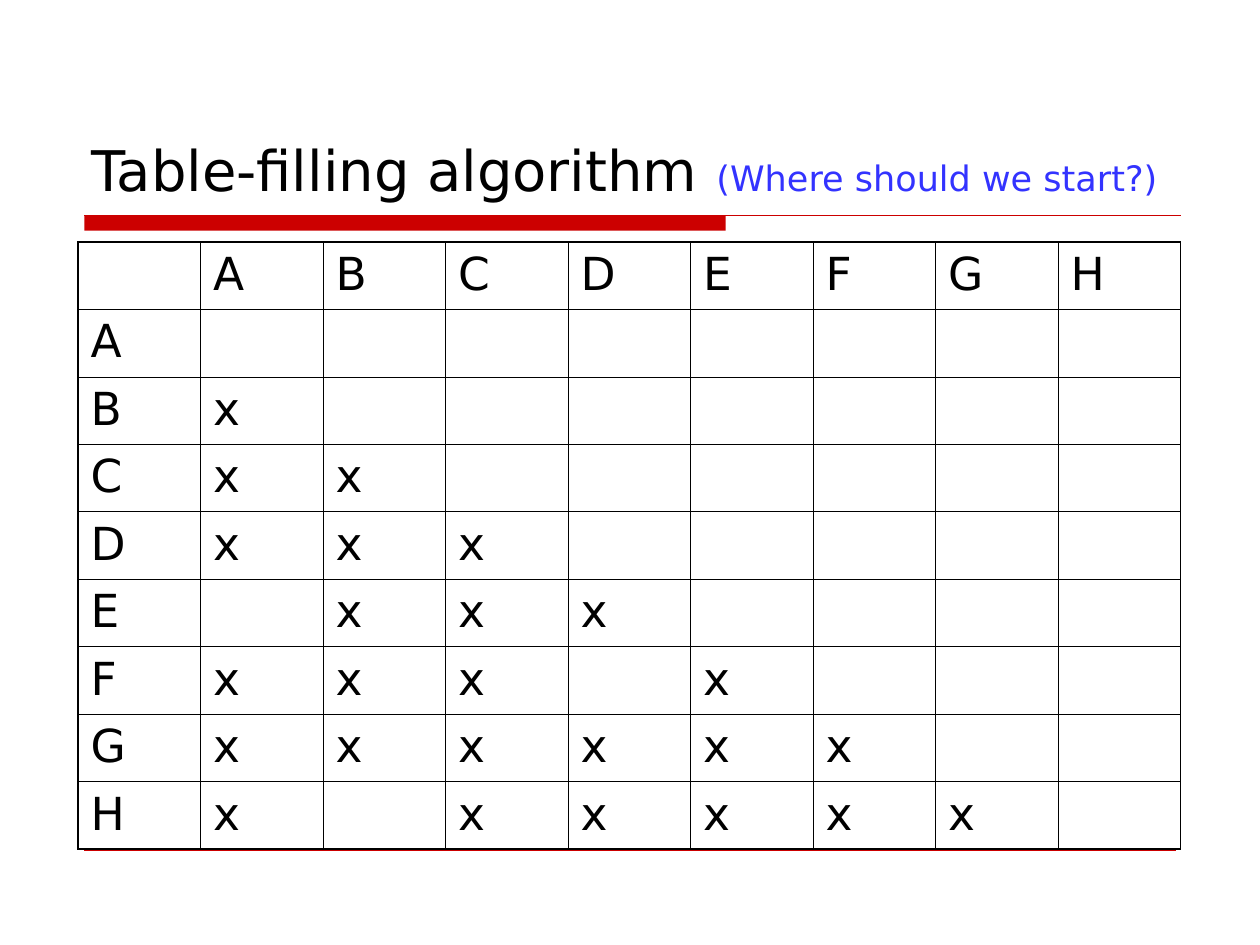
from lxml.etree import SubElement
from pptx import Presentation
from pptx.dml.color import RGBColor
from pptx.enum.shapes import MSO_CONNECTOR, MSO_SHAPE
from pptx.enum.text import MSO_ANCHOR
from pptx.oxml.ns import qn
from pptx.util import Inches, Pt

# Content: each state with the columns marked as distinguishable from it
TITLE = [("Table-filling algorithm ", "title"), ("(Where should we start?)", "question")]
STATES = "ABCDEFGH"
MARKS = {"A": "", "B": "A", "C": "AB", "D": "ABC", "E": "BCD",
         "F": "ABCE", "G": "ABCDEF", "H": "ACDEFG"}
MARK = "x"

THEME = {
    "font": "DejaVu Sans",
    "accent": "CC0000",
    "border": "000000",
    "text": {"title": (32, "000000"), "question": (20, "3333FF"), "cell": (26, "000000")},
    "rule": 0.75, "footer": 0.25, "inner": 0.45, "outer": 1.08,
}

# Places as percentages of the slide: left, top, width, height
SLIDE_SIZE = (Inches(10), Inches(7.5))
TITLE_BOX = (6.3, 4.4, 87.5, 17.73)
TITLE_BAR = (6.7, 22.8, 50.9, 1.6)
TABLE_BOX = (6.2, 25.6, 87.5, 64.27)
# Lines: start x, end x, y
RULE = (6.7, 93.7, 22.8)
FOOTER = (6.7, 93.3, 90)


def across(share):
    return round(SLIDE_SIZE[0] * share / 100)


def down(share):
    return round(SLIDE_SIZE[1] * share / 100)


def place(box):
    left, top, width, height = box
    return across(left), down(top), across(width), down(height)


def set_format(target, values):
    for name, value in values.items():
        setattr(target, name, value)


def add_run(paragraph, text, style):
    run = paragraph.add_run()
    size, color = THEME["text"][style]
    set_format(run, {"text": text})
    set_format(run.font, {"name": THEME["font"], "size": Pt(size)})
    run.font.color.rgb = RGBColor.from_string(color)


def add_line(slide, start, end, y, weight):
    line = slide.shapes.add_connector(
        MSO_CONNECTOR.STRAIGHT, across(start), down(y), across(end), down(y))
    line.line.width = Pt(weight)
    line.line.color.rgb = RGBColor.from_string(THEME["accent"])
    SubElement(line._element.spPr, qn("a:effectLst"))


def set_borders(cell, outer_sides):
    properties = cell._tc.get_or_add_tcPr()
    for side in "LRTB":
        weight = THEME["outer" if side in outer_sides else "inner"]
        border = SubElement(properties, qn(f"a:ln{side}"), w=str(int(Pt(weight))))
        fill = SubElement(border, qn("a:solidFill"))
        SubElement(fill, qn("a:srgbClr"), val=THEME["border"])


def add_table(slide):
    grid = [["", *STATES]]
    grid += [[state] + [MARK if other in MARKS[state] else "" for other in STATES]
             for state in STATES]
    count = len(grid)
    left, top, width, height = place(TABLE_BOX)
    table = slide.shapes.add_table(count, count, left, top, width, height).table
    set_format(table, {"first_row": False, "horz_banding": False})
    for column, row in zip(table.columns, table.rows):
        column.width, row.height = width // count, height // count
    last = count - 1
    for i, texts in enumerate(grid):
        for j, text in enumerate(texts):
            cell = table.cell(i, j)
            edges = {"L": j == 0, "R": j == last, "T": i == 0, "B": i == last}
            set_borders(cell, [side for side, on_edge in edges.items() if on_edge])
            cell.fill.background()
            if text:
                add_run(cell.text_frame.paragraphs[0], text, "cell")


def main():
    presentation = Presentation()
    presentation.slide_width, presentation.slide_height = SLIDE_SIZE
    slide = presentation.slides.add_slide(presentation.slide_layouts[6])

    # Red bar and rules
    bar = slide.shapes.add_shape(MSO_SHAPE.RECTANGLE, *place(TITLE_BAR))
    bar.shadow.inherit = False
    bar.fill.solid()
    bar.fill.fore_color.rgb = RGBColor.from_string(THEME["accent"])
    bar.line.fill.background()
    add_line(slide, *RULE, THEME["rule"])
    add_line(slide, *FOOTER, THEME["footer"])

    # Title
    frame = slide.shapes.add_textbox(*place(TITLE_BOX)).text_frame
    set_format(frame, {"word_wrap": True, "vertical_anchor": MSO_ANCHOR.BOTTOM})
    for text, style in TITLE:
        add_run(frame.paragraphs[0], text, style)

    # Table of state pairs
    add_table(slide)
    presentation.save("out.pptx")


if __name__ == "__main__":
    main()
